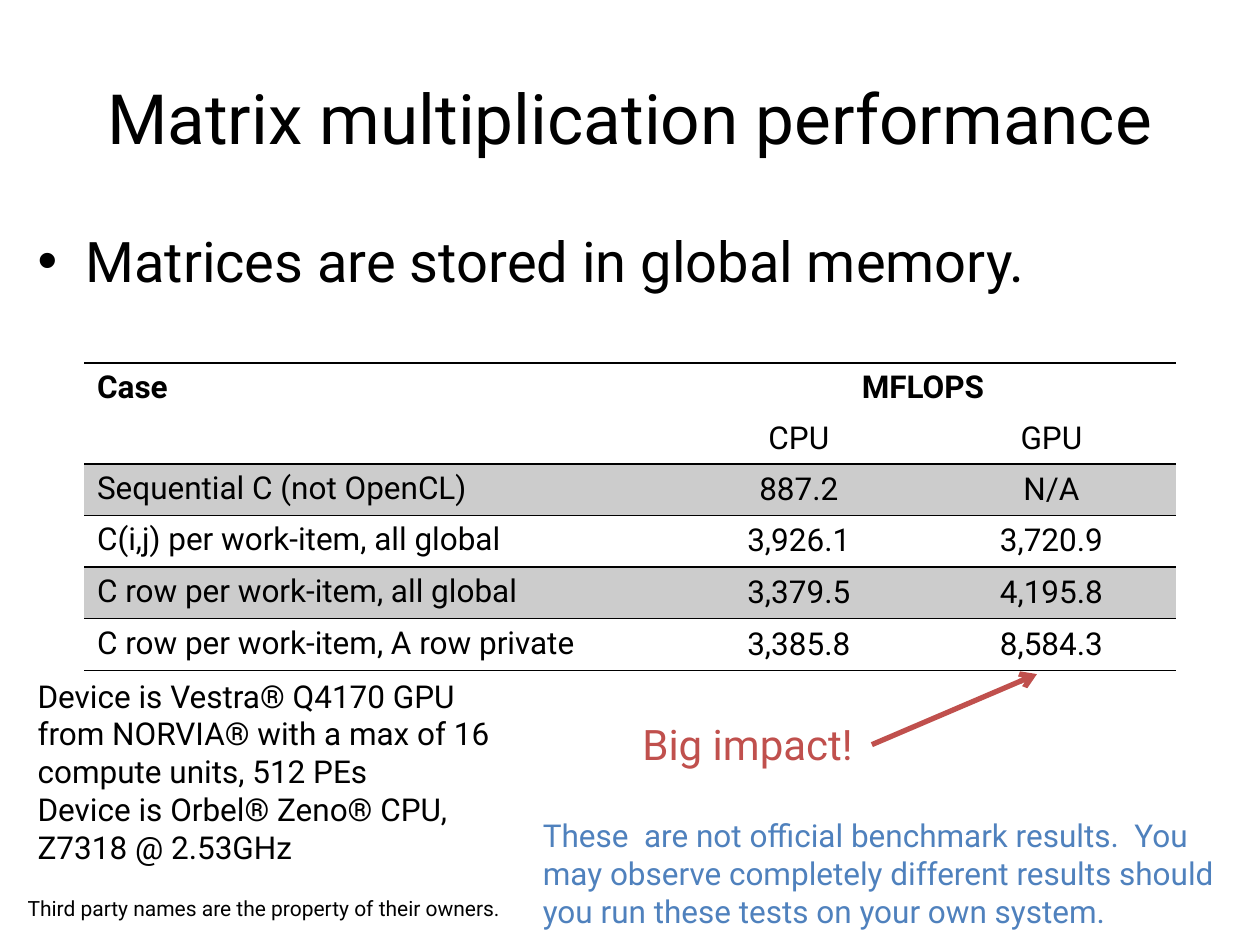
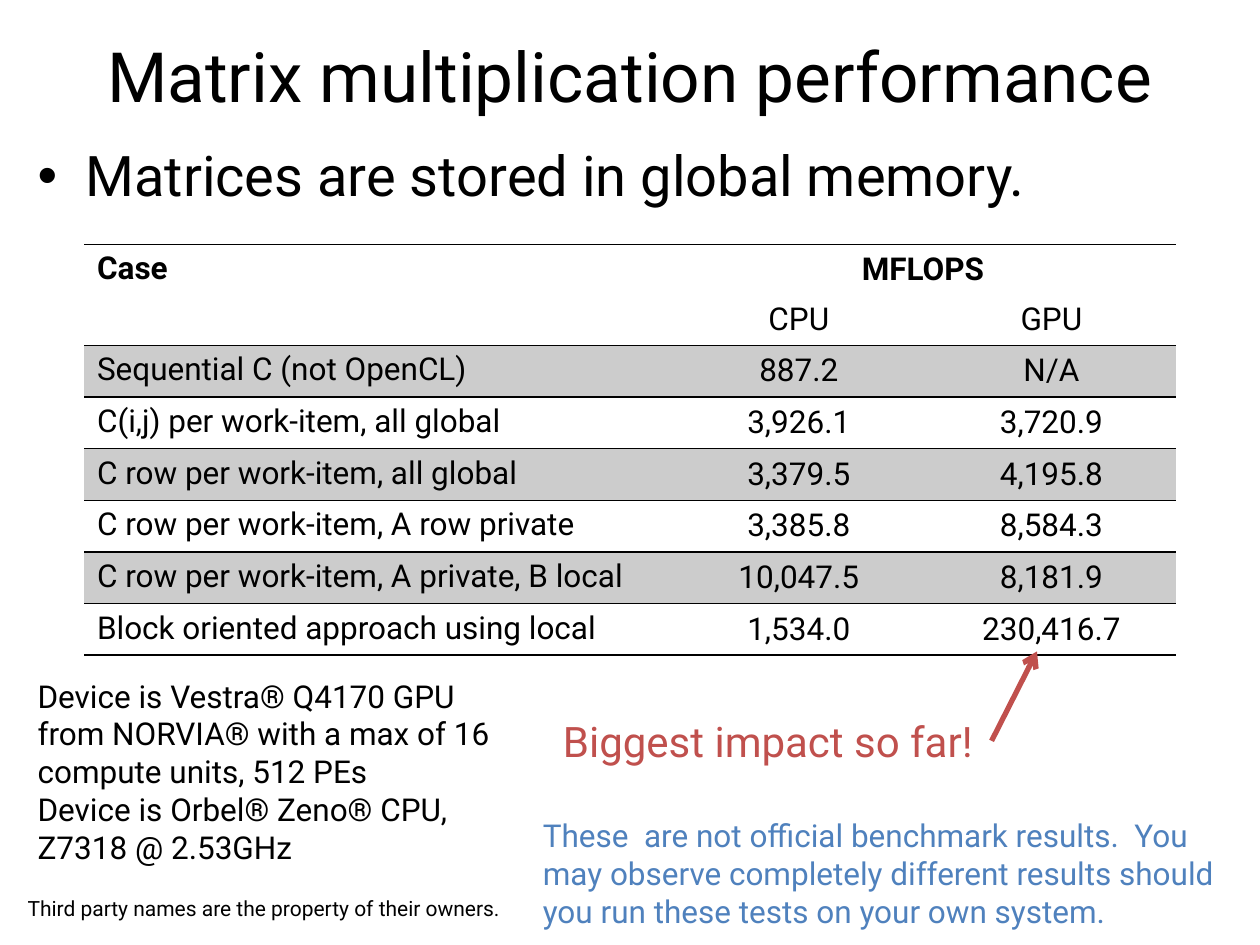
from dataclasses import dataclass

from lxml.etree import SubElement
from pptx import Presentation
from pptx.dml.color import RGBColor
from pptx.enum.shapes import MSO_CONNECTOR as Connector
from pptx.enum.text import MSO_ANCHOR as Anchor, MSO_AUTO_SIZE as AutoSize, PP_ALIGN as Align
from pptx.oxml.ns import qn
from pptx.slide import Slide
from pptx.table import _Cell as Cell
from pptx.text.text import _Paragraph as Paragraph
from pptx.util import Emu, Pt

EMU_PER_PX = 9144  # 100 px to the inch
FONT = "Roboto"
BLACK, BLUE, RED, BAND = "000000", "4F81BD", "C0504D", "CCCCCC"
TITLE_ONLY = 5
PLAIN_TABLE_STYLE = "{2D5ABB26-0587-4C30-8999-92F81FD0307C}"

TITLE = "Matrix multiplication performance"
COLUMN_WIDTHS = (465, 204, 197)
HEADER_ROWS = (("Case", "MFLOPS", ""), ("", "CPU", "GPU"))
HEADER_HEIGHT, CASE_HEIGHT = 39, 41
CASES = (
    ("Sequential C (not OpenCL)", "887.2", "N/A"),
    ("C(i,j) per work-item, all global", "3,926.1", "3,720.9"),
    ("C row per work-item, all global", "3,379.5", "4,195.8"),
    ("C row per work-item, A row private", "3,385.8", "8,584.3"),
    ("C row per work-item, A private, B local", "10,047.5", "8,181.9"),
    ("Block oriented approach using local", "1,534.0", "230,416.7"),
)


@dataclass(frozen=True)
class Box:
    left: int
    top: int
    width: int
    height: int

    def emu(self) -> tuple[Emu, ...]:
        return tuple(px(n) for n in (self.left, self.top, self.width, self.height))


@dataclass(frozen=True)
class Note:
    box: Box
    paragraphs: tuple[str, ...]
    size: float = 18
    color: str = BLACK
    bullet: bool = False


@dataclass(frozen=True)
class Arrow:
    start: tuple[int, int]
    end: tuple[int, int]


@dataclass(frozen=True)
class ResultSlide:
    title_top: int
    statement_top: int
    table_top: int
    case_count: int
    callout: Note
    arrow: Arrow


SHARED_NOTES = (
    Note(Box(20, 532, 401, 162), (
        "Device is Vestra® Q4170 GPU from NORVIA® with a max of 16 compute units, 512 PEs",
        "Device is Orbel® Zeno® CPU, Z7318 @ 2.53GHz",
    )),
    Note(Box(12, 706, 532, 57), ("Third party names are the property of their owners.",), 12),
    Note(Box(421, 643, 571, 131), (
        "These  are not official benchmark results.  You may observe completely "
        "different results should you run these tests on your own system.",
    ), color=BLUE),
)

RESULT_SLIDES = (
    ResultSlide(30, 175, 288, 4,
                Note(Box(500, 565, 192, 50), ("Big impact!",), 24, RED),
                Arrow((692, 591), (823, 535))),
    ResultSlide(-3, 107, 194, 6,
                Note(Box(437, 563, 350, 50), ("Biggest impact so far!",), 24, RED),
                Arrow((787, 588), (823, 517))),
)


def px(length: int) -> Emu:
    return Emu(length * EMU_PER_PX)


def rgb(color: str) -> RGBColor:
    return RGBColor.from_string(color)


def add_run(paragraph: Paragraph, text: str, size: float = 18,
            color: str = BLACK, bold: bool = False) -> None:
    run = paragraph.add_run()
    run.text = text
    run.font.name = FONT
    run.font.size = Pt(size)
    run.font.bold = bold
    run.font.color.rgb = rgb(color)


def add_bullet(paragraph: Paragraph) -> None:
    properties = paragraph._p.get_or_add_pPr()
    properties.set("marL", str(px(38)))
    properties.set("indent", str(px(-38)))
    SubElement(properties, qn("a:buFont"), typeface="Arial")
    SubElement(properties, qn("a:buChar"), char="•")


def add_title(slide: Slide, top: int) -> None:
    title = slide.shapes.title
    title.left, title.top, title.width, title.height = Box(50, top, 900, 125).emu()
    frame = title.text_frame
    frame.auto_size = AutoSize.NONE
    frame.vertical_anchor = Anchor.MIDDLE
    frame.paragraphs[0].alignment = Align.CENTER
    add_run(frame.paragraphs[0], TITLE, 39.6)


def add_note(slide: Slide, note: Note) -> None:
    frame = slide.shapes.add_textbox(*note.box.emu()).text_frame
    frame.word_wrap = True
    for index, text in enumerate(note.paragraphs):
        paragraph = frame.add_paragraph() if index else frame.paragraphs[0]
        if note.bullet:
            add_bullet(paragraph)
        add_run(paragraph, text, note.size, note.color)


def add_rule(cell: Cell, side: str) -> None:
    """Rule one side of a cell; call before the cell gets its fill."""
    line = SubElement(cell._tc.get_or_add_tcPr(), qn(f"a:{side}"), w=str(Pt(1)))
    SubElement(SubElement(line, qn("a:solidFill")), qn("a:srgbClr"), val=BLACK)


def fill_cell(cell: Cell, text: str, row: int, column: int) -> None:
    is_case = row >= len(HEADER_ROWS)
    if row == 0 or is_case:
        add_rule(cell, "lnT")
    if is_case:
        add_rule(cell, "lnB")
    if is_case and row % 2 == 0:
        cell.fill.solid()
        cell.fill.fore_color.rgb = rgb(BAND)
    else:
        cell.fill.background()
    paragraph = cell.text_frame.paragraphs[0]
    if column:
        cell.vertical_anchor = Anchor.MIDDLE
        paragraph.alignment = Align.CENTER
    if text:
        add_run(paragraph, text, bold=row == 0)


def add_results(slide: Slide, top: int, case_count: int) -> None:
    rows = HEADER_ROWS + CASES[:case_count]
    heights = [HEADER_HEIGHT] * len(HEADER_ROWS) + [CASE_HEIGHT] * case_count
    box = Box(67, top, sum(COLUMN_WIDTHS), sum(heights))
    table = slide.shapes.add_table(len(rows), len(COLUMN_WIDTHS), *box.emu()).table
    table._tbl.tblPr.find(qn("a:tableStyleId")).text = PLAIN_TABLE_STYLE
    table.first_row = table.horz_banding = False
    for column, width in zip(table.columns, COLUMN_WIDTHS):
        column.width = px(width)
    for row, height in zip(table.rows, heights):
        row.height = px(height)
    table.cell(0, 0).merge(table.cell(1, 0))
    table.cell(0, 1).merge(table.cell(0, 2))
    for row_index, texts in enumerate(rows):
        for column_index, text in enumerate(texts):
            fill_cell(table.cell(row_index, column_index), text, row_index, column_index)


def add_arrow(slide: Slide, arrow: Arrow) -> None:
    ends = [px(n) for n in arrow.start + arrow.end]
    connector = slide.shapes.add_connector(Connector.STRAIGHT, *ends)
    connector.line.color.rgb = rgb(RED)
    connector.line.width = Pt(3)
    SubElement(connector.line._get_or_add_ln(), qn("a:tailEnd"), type="arrow")
    SubElement(connector._element.spPr, qn("a:effectLst"))


def add_result_slide(presentation: Presentation, content: ResultSlide) -> None:
    slide = presentation.slides.add_slide(presentation.slide_layouts[TITLE_ONLY])
    add_title(slide, content.title_top)
    add_note(slide, Note(Box(20, content.statement_top, 961, 90),
                         ("Matrices are stored in global memory.",), 32, bullet=True))
    add_results(slide, content.table_top, content.case_count)
    for note in SHARED_NOTES + (content.callout,):
        add_note(slide, note)
    add_arrow(slide, content.arrow)


def main() -> None:
    presentation = Presentation()
    presentation.slide_width, presentation.slide_height = px(1000), px(750)
    for content in RESULT_SLIDES:
        add_result_slide(presentation, content)
    presentation.save("out.pptx")


if __name__ == "__main__":
    main()
